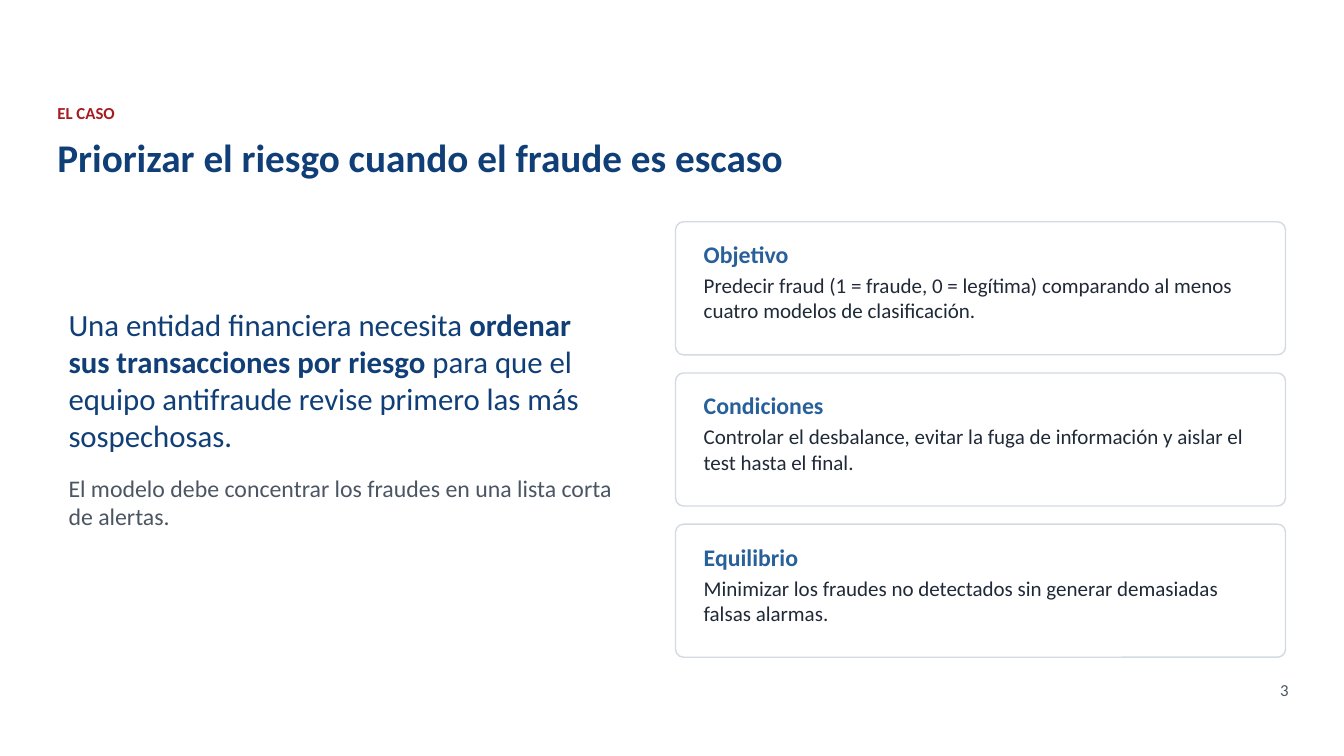
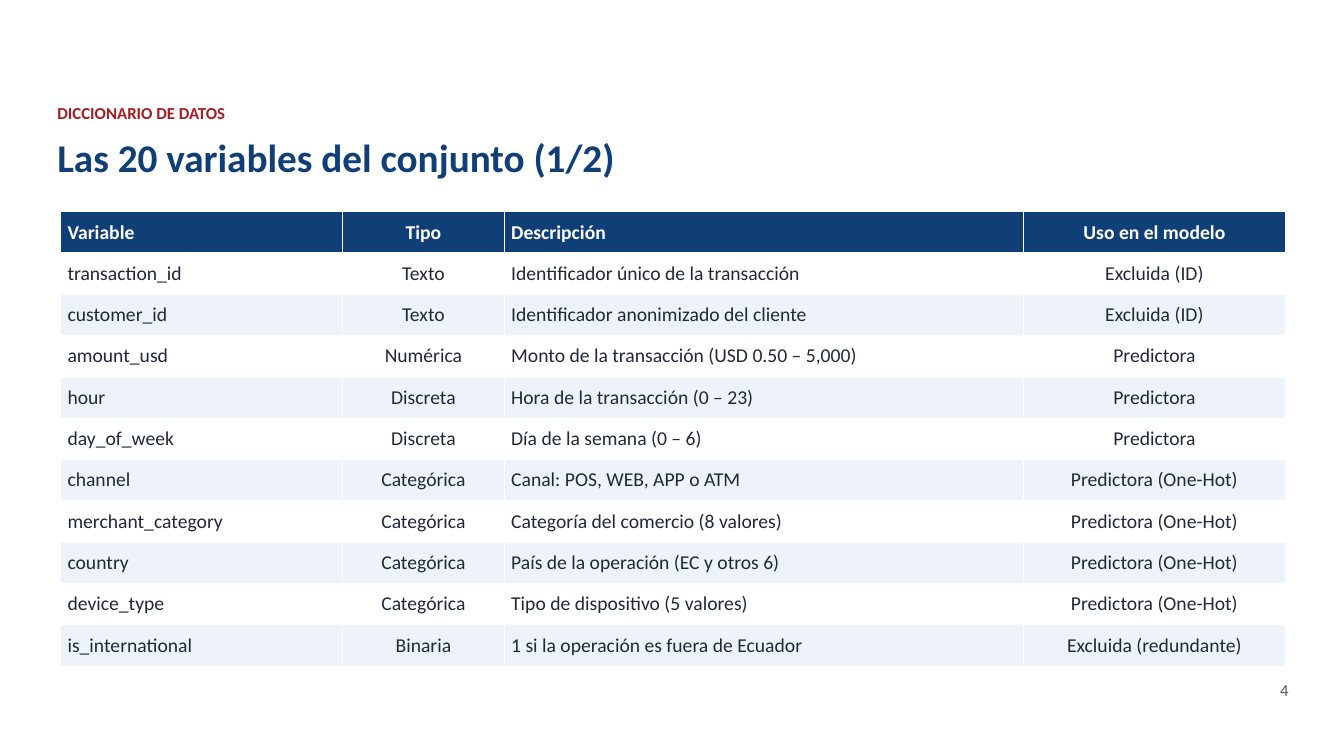
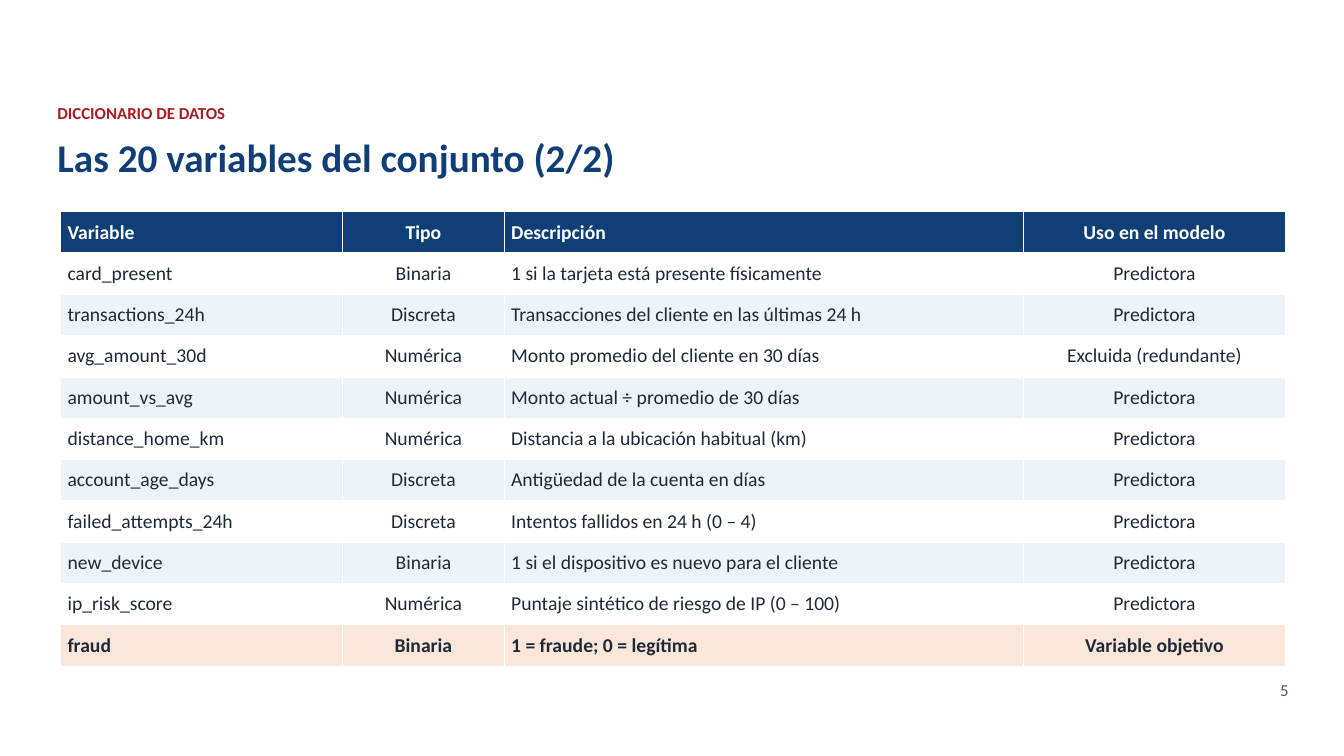
from pptx import Presentation
from pptx.dml.color import RGBColor
from pptx.enum.shapes import MSO_SHAPE
from pptx.enum.text import MSO_ANCHOR, MSO_AUTO_SIZE, PP_ALIGN
from pptx.util import Inches, Pt

FONT = "Calibri"
NAVY, BLUE, RED = "103F77", "286099", "A71C21"
INK, GREY, BORDER = "1F2937", "4B5563", "D3DAE4"
WHITE, BAND, HIGHLIGHT = "FFFFFF", "EEF3F9", "FBE7D9"

FIRST_PAGE = 3
LEFT, RIGHT = 0.6, 12.75

CASE_TITLE = ("EL CASO", "Priorizar el riesgo cuando el fraude es escaso")
NEED = [
    ("Una entidad financiera necesita ", False),
    ("ordenar sus transacciones por riesgo", True),
    (" para que el equipo antifraude revise primero las más sospechosas.", False),
]
NEED_NOTE = "El modelo debe concentrar los fraudes en una lista corta de alertas."
CARDS = [
    ("Objetivo", "Predecir fraud (1 = fraude, 0 = legítima) comparando al menos "
                 "cuatro modelos de clasificación."),
    ("Condiciones", "Controlar el desbalance, evitar la fuga de información y aislar "
                    "el test hasta el final."),
    ("Equilibrio", "Minimizar los fraudes no detectados sin generar demasiadas "
                   "falsas alarmas."),
]

DICTIONARY_KICKER = "DICCIONARIO DE DATOS"
HEADINGS = ("Variable", "Tipo", "Descripción", "Uso en el modelo")
COLUMN_WIDTHS = (2.8, 1.6, 5.15, 2.6)
COLUMN_ALIGNS = (PP_ALIGN.LEFT, PP_ALIGN.CENTER, PP_ALIGN.LEFT, PP_ALIGN.CENTER)
TARGET = "fraud"
DICTIONARY_PARTS = [
    [
        ("transaction_id", "Texto", "Identificador único de la transacción", "Excluida (ID)"),
        ("customer_id", "Texto", "Identificador anonimizado del cliente", "Excluida (ID)"),
        ("amount_usd", "Numérica", "Monto de la transacción (USD 0.50 – 5,000)", "Predictora"),
        ("hour", "Discreta", "Hora de la transacción (0 – 23)", "Predictora"),
        ("day_of_week", "Discreta", "Día de la semana (0 – 6)", "Predictora"),
        ("channel", "Categórica", "Canal: POS, WEB, APP o ATM", "Predictora (One-Hot)"),
        ("merchant_category", "Categórica", "Categoría del comercio (8 valores)",
         "Predictora (One-Hot)"),
        ("country", "Categórica", "País de la operación (EC y otros 6)", "Predictora (One-Hot)"),
        ("device_type", "Categórica", "Tipo de dispositivo (5 valores)", "Predictora (One-Hot)"),
        ("is_international", "Binaria", "1 si la operación es fuera de Ecuador",
         "Excluida (redundante)"),
    ],
    [
        ("card_present", "Binaria", "1 si la tarjeta está presente físicamente", "Predictora"),
        ("transactions_24h", "Discreta", "Transacciones del cliente en las últimas 24 h",
         "Predictora"),
        ("avg_amount_30d", "Numérica", "Monto promedio del cliente en 30 días",
         "Excluida (redundante)"),
        ("amount_vs_avg", "Numérica", "Monto actual ÷ promedio de 30 días", "Predictora"),
        ("distance_home_km", "Numérica", "Distancia a la ubicación habitual (km)", "Predictora"),
        ("account_age_days", "Discreta", "Antigüedad de la cuenta en días", "Predictora"),
        ("failed_attempts_24h", "Discreta", "Intentos fallidos en 24 h (0 – 4)", "Predictora"),
        ("new_device", "Binaria", "1 si el dispositivo es nuevo para el cliente", "Predictora"),
        ("ip_risk_score", "Numérica", "Puntaje sintético de riesgo de IP (0 – 100)", "Predictora"),
        (TARGET, "Binaria", "1 = fraude; 0 = legítima", "Variable objetivo"),
    ],
]


def rgb(value):
    return RGBColor.from_string(value)


def add_run(paragraph, text, size, color, bold=False):
    run = paragraph.add_run()
    run.text = text
    run.font.name = FONT
    run.font.size = Pt(size)
    run.font.bold = bold
    run.font.color.rgb = rgb(color)


def set_margins(target, across, down):
    target.margin_left = target.margin_right = Inches(across)
    target.margin_top = target.margin_bottom = Inches(down)


def add_text(slide, box, paragraphs, inset=0.02, anchor=MSO_ANCHOR.TOP, align=PP_ALIGN.LEFT):
    """Each paragraph is (space after, list of runs); a run holds add_run's arguments."""
    frame = slide.shapes.add_textbox(*map(Inches, box)).text_frame
    frame.word_wrap = True
    frame.auto_size = MSO_AUTO_SIZE.SHAPE_TO_FIT_TEXT
    frame.vertical_anchor = anchor
    set_margins(frame, inset, inset)
    for index, (space_after, runs) in enumerate(paragraphs):
        paragraph = frame.add_paragraph() if index else frame.paragraphs[0]
        paragraph.alignment = align
        paragraph.space_after = Pt(space_after)
        for run in runs:
            add_run(paragraph, *run)


def add_page(deck, kicker, title):
    """Add a blank slide with the shared heading and page number."""
    slide = deck.slides.add_slide(deck.slide_layouts[6])
    slide.background.fill.solid()
    slide.background.fill.fore_color.rgb = rgb(WHITE)
    number = str(FIRST_PAGE + len(deck.slides) - 1)
    add_text(slide, (0.55, 1, 12.2, 0.35), [(4, [(kicker, 12, RED, True)])])
    add_text(slide, (0.55, 1.3, 12.2, 0.7), [(4, [(title, 28, NAVY, True)])])
    add_text(slide, (11.6, 6.72, 1.2, 0.3), [(4, [(number, 12, GREY)])], align=PP_ALIGN.RIGHT)
    return slide


def add_card(slide, top, heading, body):
    left, height = 6.7, 1.32
    width = RIGHT - left
    card = slide.shapes.add_shape(
        MSO_SHAPE.ROUNDED_RECTANGLE, *map(Inches, (left, top, width, height)))
    card.adjustments[0] = 0.06
    card.shadow.inherit = False
    card.fill.solid()
    card.fill.fore_color.rgb = rgb(WHITE)
    card.line.color.rgb = rgb(BORDER)
    card.line.width = Pt(1)
    add_text(slide, (left + 0.2, top + 0.1, width - 0.35, height - 0.17),
             [(3, [(heading, 17, BLUE, True)]), (4, [(body, 15, INK)])], inset=0.08)


def add_case(deck):
    slide = add_page(deck, *CASE_TITLE)
    need = [(text, 22, NAVY, bold) for text, bold in NEED]
    add_text(slide, (LEFT, 2.35, 5.6, 3.6), [(14, need), (4, [(NEED_NOTE, 17, GREY)])],
             inset=0.08, anchor=MSO_ANCHOR.MIDDLE)
    for index, card in enumerate(CARDS):
        add_card(slide, 2.2 + 1.5 * index, *card)


def row_style(index, variable):
    """Return fill, text colour and bold for a table row."""
    if index == 0:
        return NAVY, WHITE, True
    if variable == TARGET:
        return HIGHLIGHT, INK, True
    return (WHITE if index % 2 else BAND), INK, False


def add_dictionary(deck, title, variables):
    slide = add_page(deck, DICTIONARY_KICKER, title)
    rows = [HEADINGS, *variables]
    table = slide.shapes.add_table(
        len(rows), len(HEADINGS), *map(Inches, (LEFT, 2.1, RIGHT - LEFT, 0.41 * len(rows)))).table
    for column, width in zip(table.columns, COLUMN_WIDTHS):
        column.width = Inches(width)
    for index, values in enumerate(rows):
        fill, color, bold = row_style(index, values[0])
        for cell, value, align in zip(table.rows[index].cells, values, COLUMN_ALIGNS):
            cell.fill.solid()
            cell.fill.fore_color.rgb = rgb(fill)
            cell.vertical_anchor = MSO_ANCHOR.MIDDLE
            set_margins(cell, 0.07, 0.03)
            paragraph = cell.text_frame.paragraphs[0]
            paragraph.alignment = align
            add_run(paragraph, value, 14, color, bold)


def main():
    deck = Presentation()
    deck.slide_width, deck.slide_height = Inches(13.33), Inches(7.5)
    add_case(deck)
    for part, variables in enumerate(DICTIONARY_PARTS, start=1):
        title = f"Las 20 variables del conjunto ({part}/{len(DICTIONARY_PARTS)})"
        add_dictionary(deck, title, variables)
    deck.save("out.pptx")


if __name__ == "__main__":
    main()
